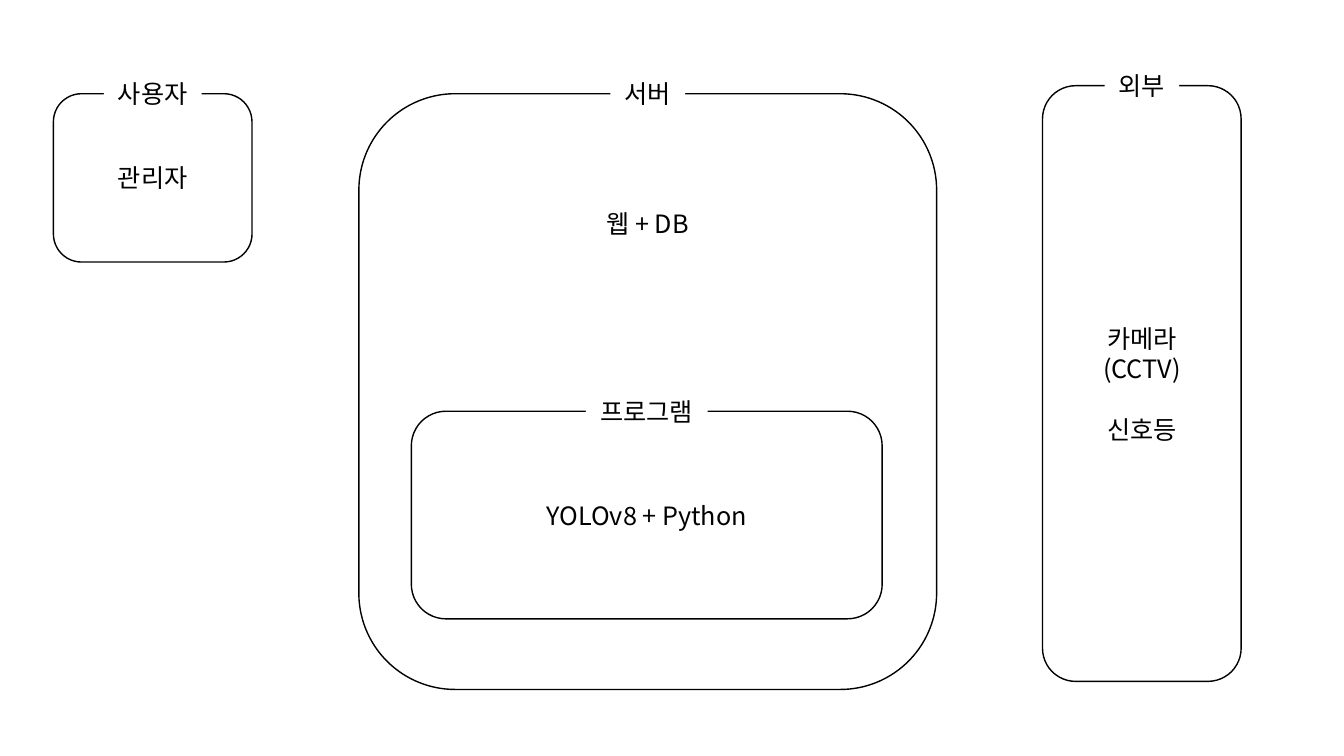
"""Build a slide that shows the user, server and external parts of a system."""
from dataclasses import dataclass

from lxml import etree
from pptx import Presentation
from pptx import util as u
from pptx.dml.color import RGBColor
from pptx.enum import shapes, text
from pptx.oxml.ns import qn


@dataclass(frozen=True)
class Theme:
    """Colours, font and sizes of the slide."""
    ink: RGBColor = RGBColor(0, 0, 0)
    paper: RGBColor = RGBColor(255, 255, 255)
    font: str = "Noto Sans CJK KR"
    size: u.Pt = u.Pt(18)
    outline: u.Pt = u.Pt(1)
    label_height: float = 0.55


class Diagram:
    """Draws titled frames on one slide in one style."""

    def __init__(self, slide, theme):
        """Keep the current slide and its style."""
        self.slide = slide
        self.theme = theme

    def block(self, kind, left, top, width, height):
        """Add a plain filled shape."""
        shape = self.slide.shapes.add_shape(
            kind, *(u.Inches(length) for length in (left, top, width, height)))
        shape.shadow.inherit = False
        shape.fill.solid()
        shape.fill.fore_color.rgb = self.theme.paper
        shape.line.fill.background()
        return shape

    def add_lines(self, shape, lines, **frame_format):
        """Add centred lines, each given as wording and space before."""
        frame = shape.text_frame
        settings = {"word_wrap": True, "vertical_anchor": text.MSO_ANCHOR.MIDDLE}
        for name, value in (settings | frame_format).items():
            setattr(frame, name, value)
        for index, (wording, space) in enumerate(lines):
            paragraph = frame.add_paragraph() if index else frame.paragraphs[0]
            paragraph.alignment = text.PP_ALIGN.CENTER
            paragraph.space_before = u.Pt(space)
            run = paragraph.add_run()
            run.text = wording
            for name, value in {"name": self.theme.font, "size": self.theme.size}.items():
                setattr(run.font, name, value)
            run.font.color.rgb = self.theme.ink
            properties = run._r.get_or_add_rPr()
            etree.SubElement(properties, qn("a:ea"), typeface=self.theme.font)

    def frame(self, box, lines, **frame_format):
        """Add a rounded frame with its content."""
        shape = self.block(shapes.MSO_SHAPE.ROUNDED_RECTANGLE, *box)
        shape.line.color.rgb = self.theme.ink
        shape.line.width = self.theme.outline
        self.add_lines(shape, lines, **frame_format)

    def label(self, box, title, label_width):
        """Add a title centred on the top edge of a frame."""
        left, top, width, _ = box
        height = self.theme.label_height
        shape = self.block(shapes.MSO_SHAPE.RECTANGLE, left + (width - label_width) / 2,
                           top - height / 2, label_width, height)
        self.add_lines(shape, [(title, 0)])


FRAMES = [
    ("외부", 0.74, (10.34, 0.85, 1.97, 5.91),
     [("카메라", 0), ("(CCTV)", 0), ("신호등", 21.7)], {}),
    ("서버", 0.74, (3.56, 0.93, 5.73, 5.91), [("웹 + DB", 0)],
     {"vertical_anchor": text.MSO_ANCHOR.TOP, "margin_top": u.Inches(0.86)}),
    ("사용자", 0.97, (0.53, 0.93, 1.97, 1.67), [("관리자", 0)], {}),
    ("프로그램", 1.21, (4.08, 4.08, 4.67, 2.06), [("YOLOv8 + Python", 0)], {}),
]


def main():
    """Build and save the presentation."""
    presentation = Presentation()
    presentation.slide_width = u.Inches(13.33)
    presentation.slide_height = u.Inches(7.5)
    slide = presentation.slides.add_slide(presentation.slide_layouts[6])
    diagram = Diagram(slide, Theme())
    for title, label_width, box, lines, frame_format in FRAMES:
        diagram.frame(box, lines, **frame_format)
        diagram.label(box, title, label_width)
    presentation.save("out.pptx")


if __name__ == "__main__":
    main()
